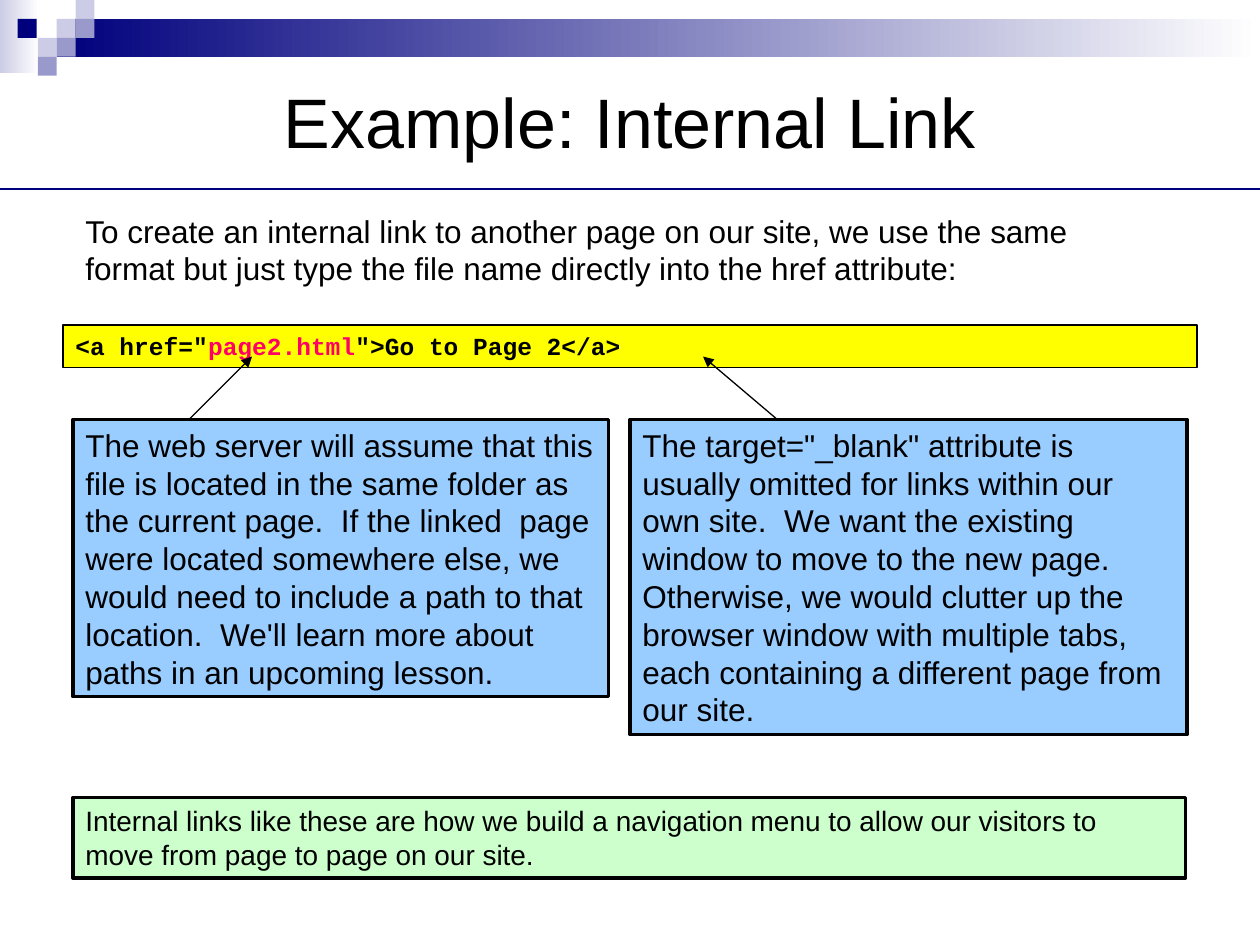
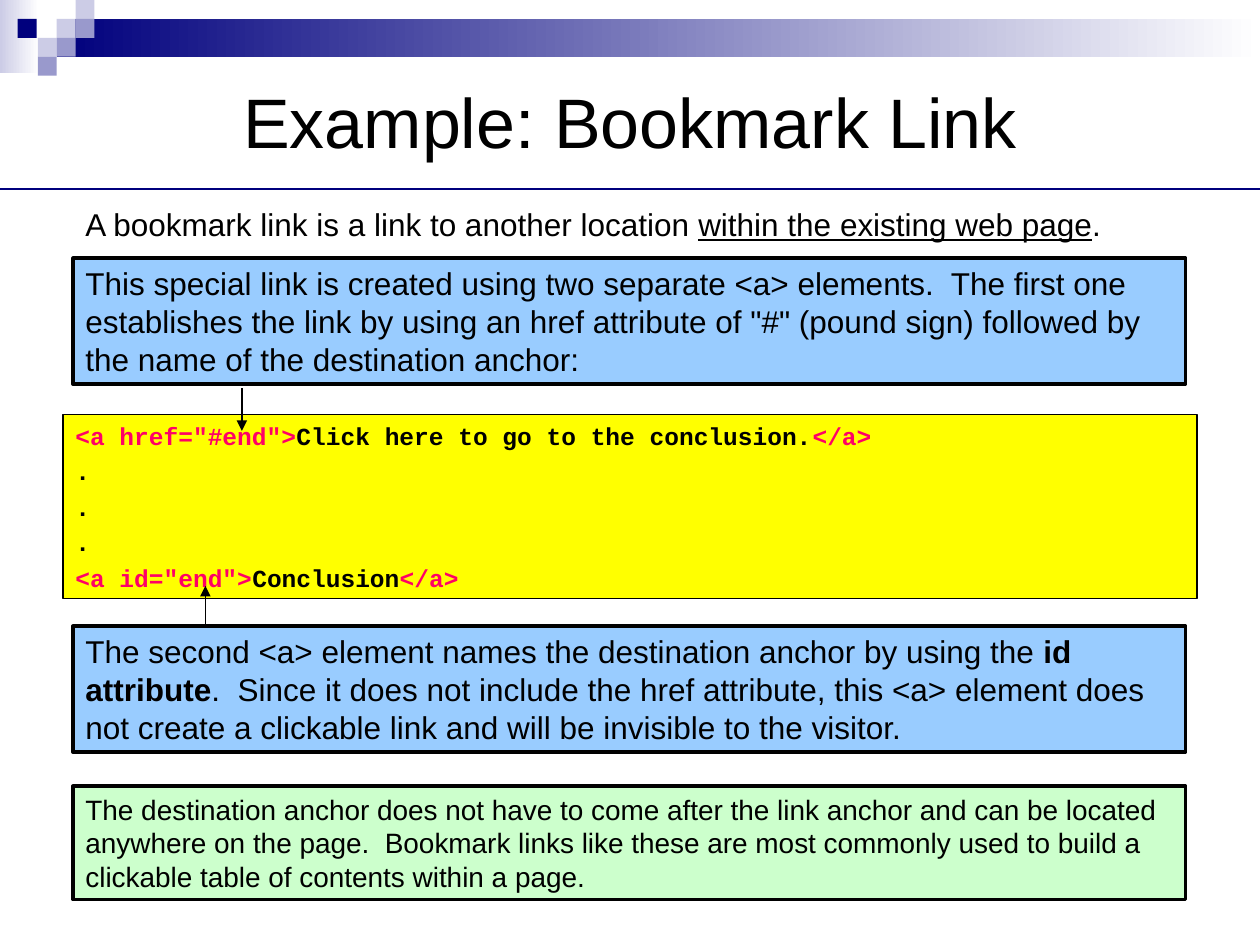
from pptx import Presentation
from pptx.dml.color import RGBColor
from pptx.enum.shapes import MSO_CONNECTOR, MSO_SHAPE
from pptx.enum.text import MSO_ANCHOR, MSO_AUTO_SIZE, PP_ALIGN
from pptx.oxml.ns import qn
from pptx.util import Inches, Pt
from lxml import etree

RECT = MSO_SHAPE.RECTANGLE
STRAIGHT = MSO_CONNECTOR.STRAIGHT
GROW = MSO_AUTO_SIZE.SHAPE_TO_FIT_TEXT
MIDDLE = MSO_ANCHOR.MIDDLE
LEFT, CENTER = PP_ALIGN.LEFT, PP_ALIGN.CENTER

color = RGBColor.from_string
NAVY, LILAC, MAUVE = "00007D", "CCCCE6", "9999CC"
BLACK, WHITE, PINK = "000000", "FFFFFF", "FF0066"
YELLOW, BLUE, GREEN = "FFFF00", "99CCFF", "CCFFCC"

SANS, MONO = "Arial", "Courier New"
STYLES = {
    "title": dict(fill=None, line=0, size=40, font=SANS, gap=0),
    "intro": dict(fill=None, line=0, size=18, font=SANS, gap=0),
    "code": dict(fill=YELLOW, line=0.75, size=14, font=MONO, gap=3.5),
    "note": dict(fill=BLUE, line=2, size=18, font=SANS, gap=0),
    "tip": dict(fill=GREEN, line=2, size=16, font=SANS, gap=0),
}

FADES = [(0, 0, 0.31, 0.58, LILAC), (0.45, 0.15, 9.55, 0.3, NAVY)]
TILE = 0.15
TILES = [
    (0.45, 0.15, LILAC), (0.6, 0, LILAC), (0.6, 0.15, MAUVE),
    (0.3, 0.3, LILAC), (0.14, 0.15, NAVY), (0.45, 0.3, MAUVE),
    (0.3, 0.45, MAUVE),
]

PAGES = [
    {
        "title": "Example: Internal Link",
        "boxes": [
            ("intro", (0.58, 1.63, 8.67, 0.7), [[
                ("To create an internal link to another page on our site, we use "
                 "the same format but just type the file name directly into the "
                 "href attribute:", "")]]),
            ("code", (0.5, 2.58, 9, 0.34), [[
                ('<a href="', ""), ("page2.html", "pink"),
                ('">Go to Page 2</a>', "")]]),
            ("note", (0.58, 3.33, 4.25, 2.2), [[
                ("The web server will assume that this file is located in the "
                 "same folder as the current page.  If the linked  page were "
                 "located somewhere else, we would need to include a path to "
                 "that location.  We'll learn more about paths in an upcoming "
                 "lesson.", "")]]),
            ("note", (5, 3.33, 4.42, 2.5), [[
                ('The target="_blank" attribute is usually omitted for links '
                 "within our own site.  We want the existing window to move to "
                 "the new page.  Otherwise, we would clutter up the browser "
                 "window with multiple tabs, each containing a different page "
                 "from our site.", "")]]),
            ("tip", (0.58, 6.33, 8.83, 0.64), [[
                ("Internal links like these are how we build a navigation menu "
                 "to allow our visitors to move from page to page on our site.",
                 "")]]),
        ],
        "arrows": [(1.5, 3.33, 2, 2.83), (6.17, 3.33, 5.58, 2.83)],
    },
    {
        "title": "Example: Bookmark Link",
        "boxes": [
            ("intro", (0.58, 1.58, 8.67, 0.4), [[
                ("A bookmark link is a link to another location ", ""),
                ("within the existing web page", "under"), (".", "")]]),
            ("code", (0.5, 3.29, 9, 1.46), [
                [('<a href="#end">', "pink"),
                 ("Click here to go to the conclusion.", ""), ("</a>", "pink")],
                *[[(".", "")]] * 3,
                [('<a id="end">', "pink"), ("Conclusion", ""),
                 ("</a>", "pink")]]),
            ("tip", (0.58, 6.24, 8.83, 0.9), [[
                ("The destination anchor does not have to come after the link "
                 "anchor and can be located anywhere on the page.  Bookmark "
                 "links like these are most commonly used to build a clickable "
                 "table of contents within a page.", "")]]),
            ("note", (0.58, 2.05, 8.83, 1), [[
                ("This special link is created using two separate <a> elements.  "
                 "The first one establishes the link by using an href attribute "
                 'of "#" (pound sign) followed by the name of the destination '
                 "anchor:", "")]]),
            ("note", (0.58, 4.97, 8.83, 1), [[
                ("The second <a> element names the destination anchor by using "
                 "the ", ""), ("id attribute", "bold"),
                (".  Since it does not include the href attribute, this <a> "
                 "element does not create a clickable link and will be "
                 "invisible to the visitor.", "")]]),
        ],
        "arrows": [(1.92, 3.08, 1.92, 3.42), (1.63, 4.98, 1.63, 4.65)],
    },
]


def add_box(slide, kind, place, paras):
    style = STYLES[kind]
    place = [Inches(n) for n in place]
    if style["fill"]:
        box = slide.shapes.add_shape(RECT, *place)
        box.shadow.inherit = False
        box.fill.solid()
        box.fill.fore_color.rgb = color(style["fill"])
        box.line.color.rgb = color(BLACK)
        box.line.width = Pt(style["line"])
    else:
        box = slide.shapes.add_textbox(*place)
    frame = box.text_frame
    frame.word_wrap = True
    if kind == "title":
        frame.vertical_anchor = MIDDLE
    else:
        frame.vertical_anchor = MSO_ANCHOR.TOP
        frame.auto_size = GROW
    for i, parts in enumerate(paras):
        para = frame.add_paragraph() if i else frame.paragraphs[0]
        para.alignment = CENTER if kind == "title" else LEFT
        para.space_before = Pt(style["gap"])
        for text, mark in parts:
            run = para.add_run()
            run.text = text
            font = run.font
            font.name = style["font"]
            font.size = Pt(style["size"])
            font.bold = kind == "code" or mark == "bold"
            font.underline = mark == "under"
            font.color.rgb = color(PINK if mark == "pink" else BLACK)


def add_line(slide, ends, hue, width, arrow=False):
    line = slide.shapes.add_connector(STRAIGHT, *[Inches(n) for n in ends])
    line.line.color.rgb = color(hue)
    line.line.width = Pt(width)
    props = line._element.spPr
    if arrow:
        etree.SubElement(props.find(qn("a:ln")), qn("a:tailEnd"), type="triangle")
    etree.SubElement(props, qn("a:effectLst"))


deck = Presentation()
deck.slide_width = Inches(10)
deck.slide_height = Inches(7.5)

for page in PAGES:
    slide = deck.slides.add_slide(deck.slide_layouts[6])
    for x, y, w, h, hue in FADES:
        fade = slide.shapes.add_shape(RECT, Inches(x), Inches(y), Inches(w), Inches(h))
        fade.shadow.inherit = False
        fade.line.fill.background()
        fade.fill.gradient()
        fade.fill.gradient_angle = 0
        for stop, tone in zip(fade.fill.gradient_stops, (hue, WHITE)):
            stop.color.rgb = color(tone)
    for x, y, hue in TILES:
        tile = slide.shapes.add_shape(RECT, Inches(x), Inches(y), Inches(TILE), Inches(TILE))
        tile.shadow.inherit = False
        tile.line.fill.background()
        tile.fill.solid()
        tile.fill.fore_color.rgb = color(hue)
    add_box(slide, "title", (0.5, 0.42, 9, 1.08), [[(page["title"], "")]])
    add_line(slide, (0, 1.5, 10, 1.5), NAVY, 1.25)
    for kind, place, paras in page["boxes"]:
        add_box(slide, kind, place, paras)
    for ends in page["arrows"]:
        add_line(slide, ends, BLACK, 0.75, arrow=True)

deck.save("out.pptx")
